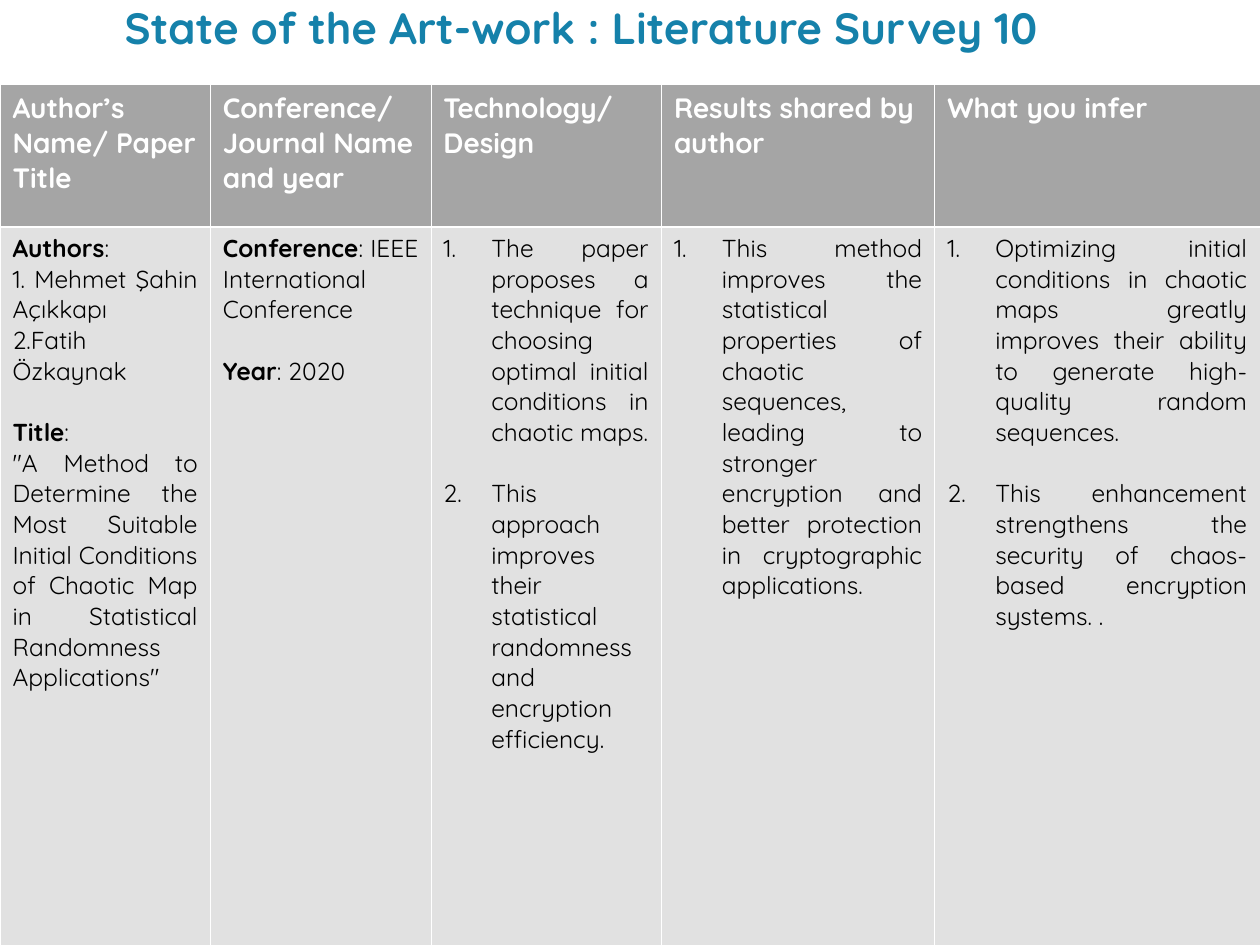
from lxml import etree
from pptx import Presentation
from pptx.dml.color import RGBColor
from pptx.enum.text import PP_ALIGN
from pptx.oxml.ns import qn
from pptx.util import Inches, Pt

JUSTIFY = PP_ALIGN.JUSTIFY
FONT = "Quicksand"
BLUE, WHITE, BLACK = "1581AA", "FFFFFF", "000000"
HEADER_GREY, BODY_GREY = "A5A5A5", "E1E1E1"
THIN, THICK = 0.45, 1.47
BLANK_LINE = 17.5
LIST_INDENT = 0.38

TITLE = "State of the Art-work : Literature Survey 10"
HEADERS = [
    "Author’s Name/ Paper Title",
    "Conference/Journal Name and year",
    "Technology/ Design",
    "Results shared by author",
    "What you infer",
]
# Labelled cells: each group is a list of (bold label, text) paragraphs
LABELLED = [
    [
        [("Authors", ":"), ("", "1. Mehmet Şahin Açıkkapı"), ("", "2.Fatih Özkaynak")],
        [("Title", ":"),
         ("", '"A Method to Determine the Most Suitable Initial Conditions of '
              'Chaotic Map in Statistical Randomness Applications"')],
    ],
    [
        [("Conference", ": IEEE International Conference")],
        [("Year", ": 2020")],
    ],
]
NUMBERED = [
    ["The paper proposes a technique for choosing optimal initial conditions in chaotic maps.",
     "This approach improves their statistical randomness and encryption efficiency."],
    ["This method improves the statistical properties of chaotic sequences, leading to "
     "stronger encryption and better protection in cryptographic applications."],
    ["Optimizing initial conditions in chaotic maps greatly improves their ability to "
     "generate high-quality random sequences.",
     "This enhancement strengthens the security of chaos-based encryption systems. ."],
]
COLUMN_WIDTHS = [1.67, 1.75, 1.83, 2.17, 2.58]
ROW_HEIGHTS = [1.13, 5.7]
TABLE_TOP = 0.67


def rgb(value):
    return RGBColor.from_string(value)


def add_run(paragraph, text, size, color, bold=False):
    run = paragraph.add_run()
    run.text = text
    run.font.name, run.font.size, run.font.bold = FONT, Pt(size), bold
    run.font.color.rgb = rgb(color)


def number(paragraph):
    """Turn a paragraph into an automatically numbered list item."""
    props = paragraph._p.get_or_add_pPr()
    indent = Inches(LIST_INDENT)
    props.set("marL", str(indent))
    props.set("indent", str(-indent))
    bullet_color = etree.SubElement(props, qn("a:buClr"))
    etree.SubElement(bullet_color, qn("a:srgbClr"), val=BLACK)
    etree.SubElement(props, qn("a:buFont"), typeface="+mj-lt")
    etree.SubElement(props, qn("a:buAutoNum"), type="arabicPeriod")


def style_cell(cell, fill, top, bottom):
    props = cell._tc.get_or_add_tcPr()
    for side, width in (("L", THIN), ("R", THIN), ("T", top), ("B", bottom)):
        line = etree.SubElement(props, qn(f"a:ln{side}"), w=str(Pt(width)))
        solid = etree.SubElement(line, qn("a:solidFill"))
        etree.SubElement(solid, qn("a:srgbClr"), val=WHITE)
    cell.fill.solid()
    cell.fill.fore_color.rgb = rgb(fill)


def fill_body(cell, groups, numbered):
    """Write groups of paragraphs, one blank line apart."""
    frame = cell.text_frame
    paragraph = None
    for group in groups:
        for position, (label, text) in enumerate(group):
            first = paragraph is None
            paragraph = frame.paragraphs[0] if first else frame.add_paragraph()
            if numbered:
                number(paragraph)
            paragraph.alignment = JUSTIFY
            if position == 0 and not first:
                paragraph.space_before = Pt(BLANK_LINE)
            if label:
                add_run(paragraph, label, 14, BLACK, bold=True)
            add_run(paragraph, text, 14, BLACK)


def add_title(slide):
    box = slide.shapes.add_textbox(Inches(0.89), Inches(0.03), Inches(8.12), Inches(0.82))
    frame = box.text_frame
    frame.word_wrap = True
    frame.margin_top = Inches(0.02)
    paragraph = frame.paragraphs[0]
    paragraph.line_spacing = 0.9
    add_run(paragraph, TITLE, 25, BLUE, bold=True)


def add_survey(slide):
    table = slide.shapes.add_table(
        len(ROW_HEIGHTS), len(COLUMN_WIDTHS), 0, Inches(TABLE_TOP),
        Inches(sum(COLUMN_WIDTHS)), Inches(sum(ROW_HEIGHTS))).table
    for column, width in zip(table.columns, COLUMN_WIDTHS):
        column.width = Inches(width)
    for row, height in zip(table.rows, ROW_HEIGHTS):
        row.height = Inches(height)

    lists = [[[("", item)] for item in items] for items in NUMBERED]
    for index, (header, groups) in enumerate(zip(HEADERS, LABELLED + lists)):
        head, body = table.cell(0, index), table.cell(1, index)
        style_cell(head, HEADER_GREY, THIN, THICK)
        style_cell(body, BODY_GREY, THICK, THIN)
        add_run(head.text_frame.paragraphs[0], header, 16, WHITE, bold=True)
        fill_body(body, groups, numbered=index >= len(LABELLED))


def main():
    deck = Presentation()
    deck.slide_width, deck.slide_height = Inches(10), Inches(7.5)
    slide = deck.slides.add_slide(deck.slide_layouts[6])
    add_title(slide)
    add_survey(slide)
    deck.save("out.pptx")


if __name__ == "__main__":
    main()
